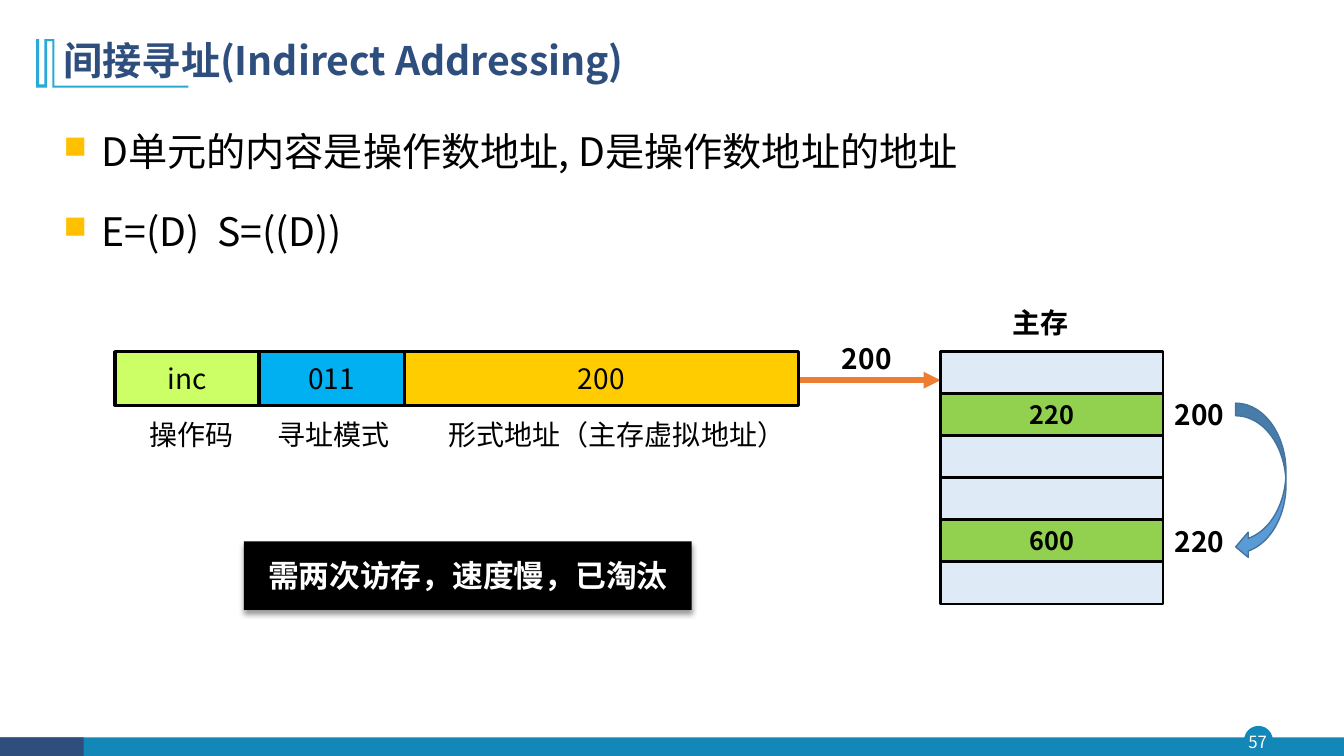
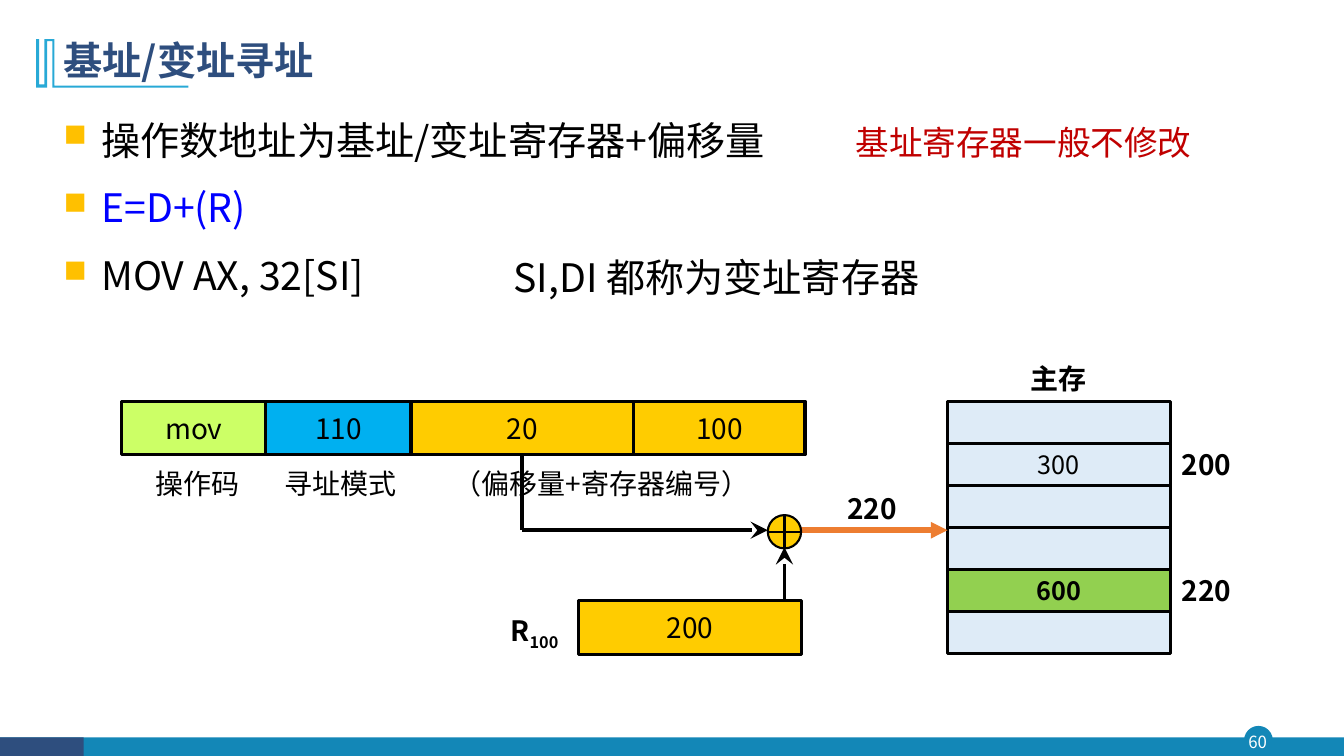
"""Build two slides on indirect and indexed addressing modes."""
from dataclasses import dataclass

import lxml.etree
import pptx
import pptx.dml.color
import pptx.enum.shapes
import pptx.enum.text
import pptx.oxml.ns
import pptx.util

Cm = pptx.util.Cm
Pt = pptx.util.Pt
RGBColor = pptx.dml.color.RGBColor
Shape = pptx.enum.shapes.MSO_SHAPE
Align = pptx.enum.text.PP_ALIGN
qn = pptx.oxml.ns.qn

BLACK = RGBColor(0x00, 0x00, 0x00)
WHITE = RGBColor(0xFF, 0xFF, 0xFF)
NAVY = RGBColor(0x2E, 0x4E, 0x7E)
TEAL = RGBColor(0x13, 0x87, 0xB7)
SKY = RGBColor(0x28, 0xA9, 0xD6)
ORANGE = RGBColor(0xED, 0x7D, 0x31)
LIME = RGBColor(0xCC, 0xFF, 0x66)
CYAN = RGBColor(0x00, 0xB0, 0xF0)
GOLD = RGBColor(0xFF, 0xCC, 0x00)
BULLET = RGBColor(0xFF, 0xC0, 0x00)
PALE = RGBColor(0xDE, 0xEB, 0xF7)
GREEN = RGBColor(0x92, 0xD0, 0x50)
RED = RGBColor(0xC0, 0x00, 0x00)
BLUE = RGBColor(0x00, 0x00, 0xFF)
ARROW_FILL = RGBColor(0x5B, 0x9B, 0xD5)
ARROW_EDGE = RGBColor(0x43, 0x73, 0x9E)

FONT = "Noto Sans CJK SC"
TITLE_FONT_JP = "Noto Sans CJK JP"
FIELD_HEIGHT = 1.35
WORD_WIDTH = 5.61
WORD_HEIGHT = 1.06
LABEL_HEIGHT = 1.12
INDENT = 0.95
MARK_OUTLINE = [
    (137, 99), (137, 216), (475, 216), (475, 221), (132, 221), (132, 104),
    (119, 104), (119, 221), (91, 221), (91, 99), (99, 99), (99, 213),
    (112, 213), (112, 99),
]


@dataclass(frozen=True)
class Box:
    """A rectangle in centimetres."""

    left: float
    top: float
    width: float
    height: float

    def lengths(self) -> tuple:
        """Return the four lengths for python-pptx."""
        return Cm(self.left), Cm(self.top), Cm(self.width), Cm(self.height)


@dataclass(frozen=True)
class TextStyle:
    """The look of one paragraph."""

    size: float = 20
    color: RGBColor = BLACK
    bold: bool = False
    align: Align = Align.CENTER
    name: str = FONT


@dataclass(frozen=True)
class Field:
    """One field of an instruction word."""

    text: str
    width: float
    fill: RGBColor


@dataclass(frozen=True)
class Caption:
    """A caption centred at a distance from the instruction's left edge."""

    text: str
    center: float
    width: float


@dataclass(frozen=True)
class MemoryWord:
    """One row of main memory."""

    value: str = ""
    address: str = ""
    fill: RGBColor = PALE
    bold: bool = False


@dataclass(frozen=True)
class Bullet:
    """One line of the body list."""

    text: str
    color: RGBColor = BLACK


PLAIN = TextStyle()
BOLD = TextStyle(bold=True)
OPCODE_CAPTIONS = [Caption("操作码", 1.92, 3.4), Caption("寻址模式", 5.51, 3.8)]


def add_element(parent, tag: str, **attributes: str):
    """Append a drawing element and return it."""
    return lxml.etree.SubElement(parent, qn(tag), attributes)


def style_paragraph(paragraph, style: TextStyle) -> None:
    """Apply alignment and font, including the East Asian typeface."""
    paragraph.alignment = style.align
    font = paragraph.font
    font.size = Pt(style.size)
    font.bold = style.bold
    font.color.rgb = style.color
    font.name = style.name
    add_element(font._element, "a:ea", typeface=style.name)


def write_text(shape, text: str, style: TextStyle) -> None:
    """Write one vertically centred, unwrapped line into a shape."""
    frame = shape.text_frame
    frame.word_wrap = False
    frame.vertical_anchor = pptx.enum.text.MSO_ANCHOR.MIDDLE
    frame.text = text
    style_paragraph(frame.paragraphs[0], style)


def add_label(slide, box: Box, text: str, style: TextStyle = PLAIN):
    """Add a one-line text box."""
    shape = slide.shapes.add_textbox(*box.lengths())
    write_text(shape, text, style)
    return shape


def paint(shape, fill: RGBColor, edge: RGBColor | None = None, weight: float = 1) -> None:
    """Set fill and outline and remove the shadow."""
    shape.shadow.inherit = False
    shape.fill.solid()
    shape.fill.fore_color.rgb = fill
    if edge is None:
        shape.line.fill.background()
    else:
        shape.line.color.rgb = edge
        shape.line.width = Pt(weight)


def add_block(slide, box: Box, fill: RGBColor, edge: RGBColor | None = None, weight: float = 1,
              text: str = "", style: TextStyle = PLAIN, kind: Shape = Shape.RECTANGLE):
    """Add a filled preset shape with optional text."""
    shape = slide.shapes.add_shape(kind, *box.lengths())
    paint(shape, fill, edge, weight)
    if text:
        write_text(shape, text, style)
    return shape


def add_line(slide, start: tuple[float, float], end: tuple[float, float],
             color: RGBColor = BLACK, weight: float = 2.5, arrow: str = "",
             arrow_size: str = "med") -> None:
    """Add a straight line with an optional arrowhead at its end."""
    line = slide.shapes.add_connector(
        pptx.enum.shapes.MSO_CONNECTOR.STRAIGHT, *map(Cm, start + end))
    line.line.color.rgb = color
    line.line.width = Pt(weight)
    if arrow:
        add_element(line.line._get_or_add_ln(), "a:tailEnd",
                    type=arrow, w=arrow_size, len=arrow_size)
    add_element(line._element.spPr, "a:effectLst")


def add_frame(slide, number: str) -> None:
    """Add the title mark, the footer bands and the slide number."""
    builder = slide.shapes.build_freeform(*MARK_OUTLINE[0], scale=Cm(1) / 100)
    builder.add_line_segments(MARK_OUTLINE[1:], close=True)
    paint(builder.convert_to_shape(), SKY)
    add_block(slide, Box(31.37, 18.31, 0.69, 0.69), TEAL, TEAL, kind=Shape.OVAL)
    add_block(slide, Box(0, 18.58, 33.87, 0.47), TEAL)
    add_block(slide, Box(0, 18.58, 2.11, 0.47), NAVY)
    label = add_label(slide, Box(31.29, 18.31, 0.81, 0.79), number, TextStyle(12, WHITE))
    frame = label.text_frame
    frame.margin_left = frame.margin_right = frame.margin_top = frame.margin_bottom = 0


def place(shape, box: Box) -> None:
    """Move and size a placeholder."""
    shape.left, shape.top, shape.width, shape.height = box.lengths()


def add_bullet(paragraph) -> None:
    """Give a paragraph a hanging square bullet."""
    properties = paragraph._p.get_or_add_pPr()
    properties.set("marL", str(Cm(INDENT)))
    properties.set("indent", str(-Cm(INDENT)))
    color = add_element(properties, "a:buClr")
    add_element(color, "a:srgbClr", val=str(BULLET))
    add_element(properties, "a:buSzPct", val="80000")
    add_element(properties, "a:buFont", typeface="Wingdings")
    add_element(properties, "a:buChar", char="n")


def add_content_slide(presentation, number: str, title: str, bullets: list[Bullet],
                      body: Box, line_height: float, title_font: str = FONT):
    """Add a slide with its frame, title and bullet list."""
    slide = presentation.slides.add_slide(presentation.slide_layouts[1])
    add_frame(slide, number)
    heading = slide.shapes.title
    place(heading, Box(1.35, 0.71, 29.21, 1.73))
    write_text(heading, title, TextStyle(28, NAVY, True, Align.LEFT, title_font))
    heading.text_frame.paragraphs[0].line_spacing = 0.9
    placeholder = slide.placeholders[1]
    place(placeholder, body)
    frame = placeholder.text_frame
    frame.auto_size = pptx.enum.text.MSO_AUTO_SIZE.NONE
    frame.word_wrap = True
    for index, bullet in enumerate(bullets):
        paragraph = frame.add_paragraph() if index else frame.paragraphs[0]
        paragraph.text = bullet.text
        add_bullet(paragraph)
        paragraph.line_spacing = Pt(line_height)
        paragraph.space_before = Pt(10 if index else 0)
        style_paragraph(paragraph, TextStyle(28, bullet.color, align=Align.JUSTIFY))
    return slide


def add_instruction(slide, left: float, top: float, fields: list[Field],
                    captions: list[Caption]) -> None:
    """Draw an instruction word with captions under its fields."""
    field_left = left
    for field in fields:
        box = Box(field_left, top, field.width, FIELD_HEIGHT)
        add_block(slide, box, field.fill, BLACK, 2.25, field.text)
        field_left += field.width
    for caption in captions:
        box = Box(left + caption.center - caption.width / 2, top + 1.52,
                  caption.width, LABEL_HEIGHT)
        add_label(slide, box, caption.text)


def add_memory(slide, left: float, top: float, heading: Box, words: list[MemoryWord]) -> None:
    """Draw main memory with addresses on its right."""
    add_label(slide, heading, "主存", BOLD)
    for row, word in enumerate(words):
        word_top = top + row * WORD_HEIGHT
        add_block(slide, Box(left, word_top, WORD_WIDTH, WORD_HEIGHT), word.fill, BLACK, 2,
                  word.value, TextStyle(18, bold=word.bold))
        if word.address:
            box = Box(left + WORD_WIDTH, word_top, 1.83, WORD_HEIGHT)
            add_label(slide, box, word.address, BOLD)


def add_banner(slide, box: Box, text: str) -> None:
    """Add the black conclusion banner with a soft shadow."""
    banner = add_block(slide, box, BLACK, text=text, style=TextStyle(22, WHITE, True))
    effects = banner._element.spPr.find(qn("a:effectLst"))
    shadow = add_element(effects, "a:outerShdw", blurRad=str(Pt(4)), dist=str(Pt(3)),
                         dir="5400000", algn="t", rotWithShape="0")
    color = add_element(shadow, "a:srgbClr", val=str(BLACK))
    add_element(color, "a:alpha", val="40000")


def build_indirect(presentation) -> None:
    """Build the indirect addressing slide."""
    bullets = [Bullet("D单元的内容是操作数地址, D是操作数地址的地址"), Bullet("E=(D)  S=((D))")]
    slide = add_content_slide(presentation, "57", "间接寻址(Indirect Addressing)", bullets,
                              Box(1.35, 2.62, 29.21, 4.42), 47)
    add_line(slide, (20.14, 9.58), (23.7, 9.58), ORANGE, 4, "triangle")
    add_label(slide, Box(20.93, 8.46, 1.83, LABEL_HEIGHT), "200", BOLD)
    fields = [Field("inc", 3.63, LIME), Field("011", 3.66, CYAN), Field("200", 9.93, GOLD)]
    captions = OPCODE_CAPTIONS + [Caption("形式地址（主存虚拟地址）", 12.65, 9.6)]
    add_instruction(slide, 2.9, 8.86, fields, captions)
    words = [MemoryWord(), MemoryWord("220", "200", GREEN, True), MemoryWord(), MemoryWord(),
             MemoryWord("600", "220", GREEN, True), MemoryWord()]
    add_memory(slide, 23.7, 8.86, Box(25.27, 7.57, 1.93, LABEL_HEIGHT), words)
    add_block(slide, Box(31.14, 10.16, 1.27, 3.94), ARROW_FILL, ARROW_EDGE,
              kind=Shape.CURVED_LEFT_ARROW)
    add_banner(slide, Box(6.15, 13.64, 11.28, 1.73), "需两次访存，速度慢，已淘汰")


def build_indexed(presentation) -> None:
    """Build the base and index addressing slide."""
    bullets = [Bullet("操作数地址为基址/变址寄存器+偏移量"), Bullet("E=D+(R)", BLUE),
               Bullet("MOV AX, 32[SI]")]
    slide = add_content_slide(presentation, "60", "基址/变址寻址", bullets,
                              Box(1.35, 2.62, 31.6, 5.72), 38.5, TITLE_FONT_JP)
    add_label(slide, Box(21.31, 2.88, 9.2, 1.4), "基址寄存器一般不修改",
              TextStyle(24, RED, align=Align.LEFT))
    add_label(slide, Box(12.69, 6.22, 11.2, 1.5), "SI,DI 都称为变址寄存器",
              TextStyle(28, align=Align.LEFT))
    fields = [Field("mov", 3.63, LIME), Field("110", 3.66, CYAN), Field("20", 5.61, GOLD),
              Field("100", 4.32, GOLD)]
    captions = OPCODE_CAPTIONS + [Caption("（偏移量+寄存器编号）", 12.09, 10.87)]
    add_instruction(slide, 3.07, 10.11, fields, captions)
    words = [MemoryWord(), MemoryWord("300", "200"), MemoryWord(), MemoryWord(),
             MemoryWord("600", "220", GREEN, True), MemoryWord()]
    add_memory(slide, 23.88, 10.11, Box(25.7, 8.97, 1.93, LABEL_HEIGHT), words)
    add_block(slide, Box(14.58, 15.14, 5.61, FIELD_HEIGHT), GOLD, BLACK, 2.25, "200")
    register = add_label(slide, Box(12.52, 15.37, 1.9, LABEL_HEIGHT), "R", BOLD)
    subscript = register.text_frame.paragraphs[0].add_run()
    subscript.text = "100"
    subscript._r.get_or_add_rPr().set("baseline", "-25000")
    add_line(slide, (20.14, 13.36), (23.88, 13.36), ORANGE, 4, "triangle")
    add_label(slide, Box(21.06, 12.24, 1.83, LABEL_HEIGHT), "220", BOLD)
    add_line(slide, (19.77, 15.14), (19.77, 13.79), arrow="stealth", arrow_size="lg")
    add_block(slide, Box(19.35, 12.98, 0.84, 0.84), GOLD, BLACK, 1.5, kind=Shape.FLOWCHART_OR)
    add_line(slide, (13.16, 11.46), (13.16, 13.36))
    add_line(slide, (13.16, 13.36), (19.35, 13.36), arrow="stealth", arrow_size="lg")


def main() -> None:
    """Build and save the presentation."""
    presentation = pptx.Presentation()
    presentation.slide_width = Cm(33.87)
    presentation.slide_height = Cm(19.05)
    build_indirect(presentation)
    build_indexed(presentation)
    presentation.save("out.pptx")


if __name__ == "__main__":
    main()
